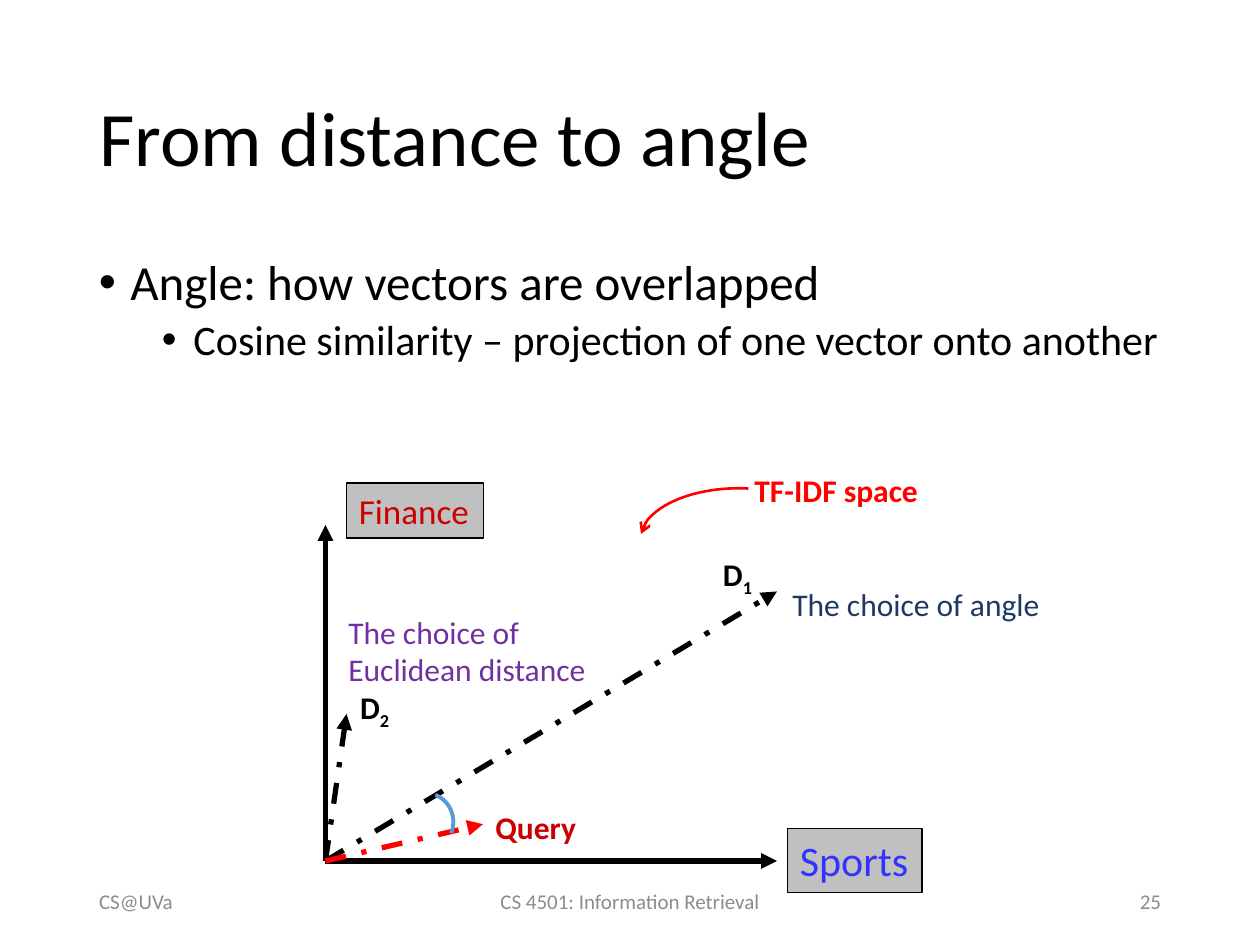
from pptx import Presentation
from pptx.dml.color import RGBColor
from pptx.enum.dml import MSO_LINE
from pptx.enum.shapes import MSO_CONNECTOR, MSO_SHAPE
from pptx.enum.text import MSO_ANCHOR, MSO_AUTO_SIZE, PP_ALIGN
from pptx.oxml.ns import qn
from pptx.util import Pt
from lxml.etree import SubElement

FONT = "Calibri"
BLACK, RED, DARK_RED, GRAY = "000000", "FF0000", "CC0000", "8C8C8C"
LABEL_GRAY = "C0C0C0"
ORIGIN = (186, 492)


def rgb(color):
    return RGBColor.from_string(color)


class SlideBuilder:
    def __init__(self, slide, font):
        self.s = slide
        self.font = font

    def place(self, sp, x, y, w, h):
        sp.left, sp.top, sp.width, sp.height = Pt(x), Pt(y), Pt(w), Pt(h)

    def format_runs(self, p, size, color, bold=False):
        for r in p.runs:
            r.font.name = self.font
            r.font.size = Pt(size)
            r.font.bold = bold
            r.font.color.rgb = rgb(color)

    def title(self, text, x, y, w, h):
        sp = self.s.shapes.title
        self.place(sp, x, y, w, h)
        tf = sp.text_frame
        tf.text = text
        tf.auto_size = MSO_AUTO_SIZE.NONE
        tf.vertical_anchor = MSO_ANCHOR.MIDDLE
        p = tf.paragraphs[0]
        p.alignment = PP_ALIGN.LEFT
        p.line_spacing = 0.9
        self.format_runs(p, 44, BLACK)

    def text(self, text, x, y, w, h, size=18, color=BLACK, bold=False, wrap=True,
             align=PP_ALIGN.LEFT, anchor=MSO_ANCHOR.TOP, subscript=None):
        sp = self.s.shapes.add_textbox(Pt(x), Pt(y), Pt(w), Pt(h))
        tf = sp.text_frame
        tf.word_wrap = wrap
        tf.vertical_anchor = anchor
        tf.text = text
        p = tf.paragraphs[0]
        p.alignment = align
        if subscript:
            r = p.add_run()
            r.text = subscript
            r.font._element.set("baseline", "-25000")
        self.format_runs(p, size, color, bold)

    def bullets(self, items, x, y, w, h):
        """Add (text, level, size, space before) items as a bulleted list."""
        sp = self.s.shapes.add_textbox(Pt(x), Pt(y), Pt(w), Pt(h))
        tf = sp.text_frame
        tf.word_wrap = True
        for i, (text, level, size, before) in enumerate(items):
            p = tf.add_paragraph() if i else tf.paragraphs[0]
            p.text = text
            p.level = level
            p.line_spacing = 0.9
            p.space_before = Pt(before)
            pPr = p._p.get_or_add_pPr()
            pPr.set("marL", str(Pt(18 + 36 * level)))
            pPr.set("indent", str(Pt(-18)))
            SubElement(pPr, qn("a:buFont"), typeface="Arial")
            SubElement(pPr, qn("a:buChar"), char="•")
            self.format_runs(p, size, BLACK)

    def axis_label(self, text, x, y, w, h, size, color):
        sp = self.s.shapes.add_shape(MSO_SHAPE.RECTANGLE, Pt(x), Pt(y), Pt(w), Pt(h))
        sp.shadow.inherit = False
        sp.fill.solid()
        sp.fill.fore_color.rgb = rgb(LABEL_GRAY)
        sp.line.color.rgb = rgb(BLACK)
        sp.line.width = Pt(0.75)
        tf = sp.text_frame
        tf.word_wrap = False
        tf.vertical_anchor = MSO_ANCHOR.TOP
        tf.text = text
        tf.paragraphs[0].alignment = PP_ALIGN.LEFT
        self.format_runs(tf.paragraphs[0], size, color)

    def vector(self, x, y, color=BLACK, dash=None):
        """Draw an arrow from the origin to (x, y)."""
        c = self.s.shapes.add_connector(
            MSO_CONNECTOR.STRAIGHT, *map(Pt, ORIGIN), Pt(x), Pt(y))
        c.line.color.rgb = rgb(color)
        c.line.width = Pt(3)
        if dash:
            c.line.dash_style = dash
        SubElement(c.line._get_or_add_ln(), qn("a:tailEnd"), type="triangle")
        SubElement(c._element.spPr, qn("a:effectLst"))

    def arc(self, x, y, w, h, color, width, angles=None, rotation=0, arrow=False):
        sp = self.s.shapes.add_shape(MSO_SHAPE.ARC, Pt(x), Pt(y), Pt(w), Pt(h))
        sp.shadow.inherit = False
        sp.fill.background()
        sp.line.color.rgb = rgb(color)
        sp.line.width = Pt(width)
        sp.rotation = rotation
        if angles:
            for i, degrees in enumerate(angles):
                sp.adjustments[i] = degrees * 0.6  # 60000 units a degree, scaled by 100000
        if arrow:
            SubElement(sp.line._get_or_add_ln(), qn("a:headEnd"), type="arrow")


def main():
    prs = Presentation()
    prs.slide_width, prs.slide_height = Pt(720), Pt(540)
    b = SlideBuilder(prs.slides.add_slide(prs.slide_layouts[5]), FONT)

    b.title("From distance to angle", 49.5, 28.75, 621, 104.4)
    b.bullets([
        ("Angle: how vectors are overlapped", 0, 28, 10),
        ("Cosine similarity – projection of one vector onto another", 1, 24, 5),
    ], 49.5, 143.75, 621, 342.6)

    b.vector(444, 492)
    b.vector(186, 300)
    b.axis_label("Sports", 450, 473.5, 77, 36.5, 24, "3333FF")
    b.axis_label("Finance", 198, 276, 78.3, 31.5, 20, DARK_RED)

    for x, y, color in [(444, 338, BLACK), (198, 408, BLACK), (276, 471, RED)]:
        b.vector(x, y, color, MSO_LINE.DASH_DOT)
    b.text("D", 406, 313.5, 32.5, 29, bold=True, wrap=False, subscript="1")
    b.text("D", 198.7, 389.7, 33.5, 29, bold=True, wrap=False, subscript="2")
    b.text("Query", 276, 458, 63.4, 29, color=DARK_RED, bold=True, wrap=False)

    b.text("TF-IDF space", 424, 265.7, 156, 29, color=RED, bold=True)
    b.arc(366, 279, 112.3, 58.3, RED, 1.5, angles=(183.18, 280.8), arrow=True)
    b.arc(226, 453, 33, 34, "5B9BD5", 2.25, rotation=21.7)
    b.text("The choice of angle", 445.7, 330.5, 175.7, 29, color="203864")
    b.text("The choice of Euclidean distance", 192, 346.5, 175.7, 51, color="7030A0")

    for text, x, w, align in [
        ("CS@UVa", 49.5, 162, PP_ALIGN.LEFT),
        ("CS 4501: Information Retrieval", 238.5, 243, PP_ALIGN.CENTER),
        ("25", 508.5, 162, PP_ALIGN.RIGHT),
    ]:
        b.text(text, x, 500.5, w, 28.75, size=12, color=GRAY,
               align=align, anchor=MSO_ANCHOR.MIDDLE)

    prs.save("out.pptx")


if __name__ == "__main__":
    main()
